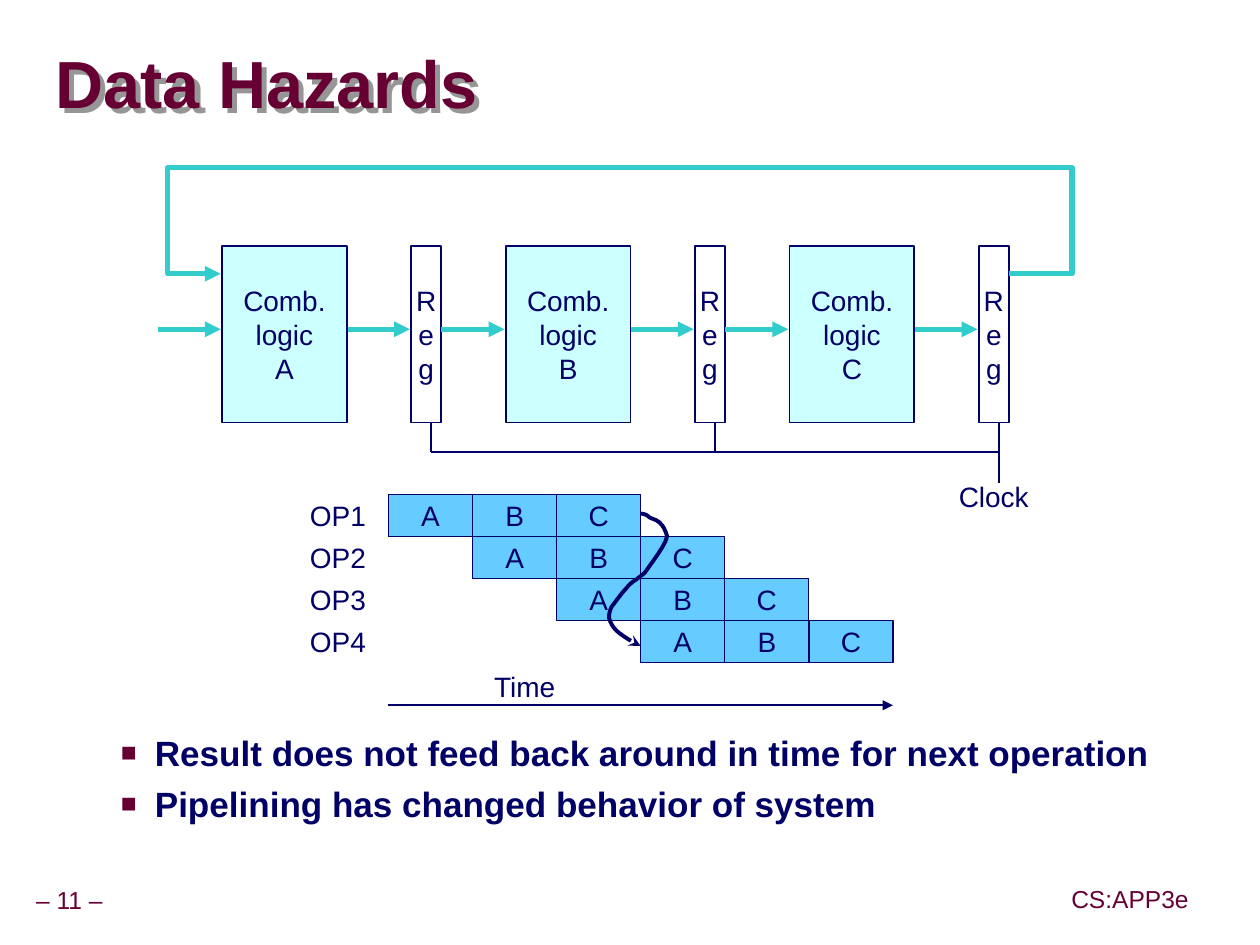
from lxml import etree
from pptx import Presentation
from pptx.dml.color import RGBColor
from pptx.enum.shapes import MSO_CONNECTOR, MSO_SHAPE
from pptx.enum.text import MSO_ANCHOR, PP_ALIGN
from pptx.oxml.ns import qn
from pptx.util import Inches, Pt

RECT = MSO_SHAPE.RECTANGLE
STRAIGHT = MSO_CONNECTOR.STRAIGHT
TOP, MIDDLE = MSO_ANCHOR.TOP, MSO_ANCHOR.MIDDLE
LEFT, CENTER, RIGHT = PP_ALIGN.LEFT, PP_ALIGN.CENTER, PP_ALIGN.RIGHT

FONT = "Arial"
COLORS = {
    "white": "FFFFFF",
    "maroon": "660033",
    "navy": "000066",
    "teal": "33CCCC",
    "logic": "CCFFFF",
    "stage": "66CCFF",
    "shadow": "969696",
}
STAGES = "ABC"
STAGE_W, ROW_H = 2 / 3, 1 / 3
FEEDBACK = [(8, 2.17), (8.5, 2.17), (8.5, 1.33), (1.33, 1.33), (1.33, 2.17), (1.75, 2.17)]
HAZARD_START = (5.08, 4.07)
HAZARD_CURVES = [
    ((5.15, 4.08), (5.12, 4.09), (5.17, 4.11)),
    ((5.24, 4.13), (5.27, 4.18), (5.29, 4.25)),
    ((5.28, 4.32), (5.16, 4.47), (5.12, 4.53)),
    ((5.11, 4.55), (5.07, 4.57), (5.05, 4.59)),
    ((5.02, 4.61), (5, 4.62), (4.96, 4.67)),
    ((4.93, 4.7), (4.88, 4.77), (4.85, 4.81)),
    ((4.83, 4.85), (4.83, 4.87), (4.83, 4.9)),
    ((4.84, 4.93), (4.85, 4.96), (4.89, 5)),
    ((4.92, 5.03), (5.03, 5.1), (5.08, 5.12)),
]


def rgb(name):
    return RGBColor.from_string(COLORS[name])


def add_child(parent, tag, **attrs):
    return etree.SubElement(parent, qn(tag), attrs)


def add_run(p, text, size, color, bold=False):
    r = p.add_run()
    r.text = text
    r.font.name = FONT
    r.font.size = Pt(size)
    r.font.bold = bold
    r.font.color.rgb = rgb(color)


def set_frame(tf, anchor, side=0.1, top=0.05, wrap=False):
    tf.word_wrap = wrap
    tf.vertical_anchor = anchor
    tf.margin_left = tf.margin_right = Inches(side)
    tf.margin_top = tf.margin_bottom = Inches(top)


def add_lines(tf, lines, align, size=16, color="navy", spacing=None):
    for i, line in enumerate(lines):
        p = tf.add_paragraph() if i else tf.paragraphs[0]
        p.alignment = align
        if spacing:
            p.line_spacing = spacing
        add_run(p, line, size, color)


def add_label(s, x, y, w, h, text, align=CENTER, anchor=TOP, side=0.1, **style):
    sp = s.shapes.add_textbox(Inches(x), Inches(y), Inches(w), Inches(h))
    set_frame(sp.text_frame, anchor, side)
    add_lines(sp.text_frame, [text], align, **style)


def add_box(s, x, y, w, h, lines, fill, weight=None, align=CENTER):
    sp = s.shapes.add_shape(RECT, Inches(x), Inches(y), Inches(w), Inches(h))
    sp.shadow.inherit = False
    sp.fill.solid()
    sp.fill.fore_color.rgb = rgb(fill)
    if weight:
        set_line(sp.line, "navy", weight)
    else:
        sp.line.fill.background()
    set_frame(sp.text_frame, MIDDLE)
    add_lines(sp.text_frame, lines, align)


def set_line(line, color, weight, head=None):
    line.color.rgb = rgb(color)
    line.width = Pt(weight)
    if head:
        add_child(line._get_or_add_ln(), "a:tailEnd", type=head)


def add_line(s, x1, y1, x2, y2, color="navy", weight=1, head=None):
    c = s.shapes.add_connector(STRAIGHT, Inches(x1), Inches(y1), Inches(x2), Inches(y2))
    set_line(c.line, color, weight, head)
    add_child(c._element.spPr, "a:effectLst")


def add_path(s, points, color, weight, head):
    start, *rest = [(Inches(x), Inches(y)) for x, y in points]
    builder = s.shapes.build_freeform(*start)
    builder.add_line_segments(rest, close=False)
    sp = builder.convert_to_shape()
    sp.shadow.inherit = False
    sp.fill.background()
    set_line(sp.line, color, weight, head)


def curve_points(start, curves, steps=6):
    points = [start]
    for c1, c2, end in curves:
        p0 = points[-1]
        for i in range(1, steps + 1):
            t = i / steps
            u = 1 - t
            points.append(tuple(
                u**3 * a + 3 * u * u * t * b + 3 * u * t * t * c + t**3 * d
                for a, b, c, d in zip(p0, c1, c2, end)))
    return points


def add_title(s, text):
    sp = s.shapes.title
    sp.left, sp.top, sp.width, sp.height = Inches(0.44), Inches(0.27), Inches(9.52), Inches(0.85)
    sp.fill.background()
    sp.line.fill.background()
    effects = add_child(sp._element.spPr, "a:effectLst")
    shadow = add_child(effects, "a:outerShdw", dist=str(Inches(0.06)), dir="2700000",
                       algn="ctr", rotWithShape="0")
    add_child(shadow, "a:srgbClr", val=COLORS["shadow"])
    set_frame(sp.text_frame, MIDDLE, 0, 0, True)
    p = sp.text_frame.paragraphs[0]
    p.alignment = LEFT
    p.line_spacing = 0.87
    add_run(p, text, 38, "maroon", True)


def add_bullets(s, items):
    sp = s.shapes.add_textbox(Inches(0.32), Inches(5.75), Inches(9.07), Inches(1.28))
    tf = sp.text_frame
    set_frame(tf, TOP, wrap=True)
    for i, item in enumerate(items):
        p = tf.add_paragraph() if i else tf.paragraphs[0]
        p.space_before = Pt(5)
        pPr = p._p.get_or_add_pPr()
        pPr.set("marL", str(Inches(0.81)))
        pPr.set("indent", str(Inches(-0.27)))
        add_child(add_child(pPr, "a:buClr"), "a:srgbClr", val=COLORS["maroon"])
        add_child(pPr, "a:buSzPct", val="75000")
        add_child(pPr, "a:buFont", typeface=FONT)
        add_child(pPr, "a:buChar", char="■")
        add_run(p, item, 20, "navy", True)


def add_pipeline(s):
    for i, stage in enumerate(STAGES):
        x = 1.25 + 2.25 * i
        for start in (x, x + 1.5):
            add_line(s, start, 2.61, start + 0.5, 2.61, "teal", 3, "triangle")
        add_box(s, x + 0.51, 1.95, 0.99, 1.4, ["Comb.", "logic", stage], "logic", 1)
        add_box(s, x + 2.01, 1.95, 0.24, 1.4, "Reg", "white", 1)
        add_line(s, x + 2.17, 3.35, x + 2.17, 3.83 if stage == STAGES[-1] else 3.58)
    add_line(s, 3.42, 3.58, 7.92, 3.58)
    add_label(s, 7.38, 3.75, 1, 0.36, "Clock")
    add_path(s, FEEDBACK, "teal", 3, "triangle")


def add_timing(s):
    for row in range(4):
        y = 3.92 + ROW_H * row
        add_box(s, 2.08, y, 0.92, ROW_H, [f"OP{row + 1}"], "white", align=RIGHT)
        for col, stage in enumerate(STAGES, row):
            add_box(s, 3.08 + STAGE_W * col, y, STAGE_W, ROW_H, [stage], "stage", 0.75)
    add_label(s, 3.82, 5.26, 0.8, 0.36, "Time", LEFT)
    add_line(s, 3.08, 5.59, 7.08, 5.59, head="triangle")
    add_path(s, curve_points(HAZARD_START, HAZARD_CURVES), "navy", 2.25, "stealth")


def main():
    prs = Presentation()
    prs.slide_width, prs.slide_height = Inches(9.99), Inches(7.49)
    s = prs.slides.add_slide(prs.slide_layouts[5])
    add_title(s, "Data Hazards")
    add_bullets(s, ["Result does not feed back around in time for next operation",
                    "Pipelining has changed behavior of system"])
    add_pipeline(s)
    add_timing(s)
    footer = {"anchor": MIDDLE, "side": 0.05, "size": 14, "color": "maroon", "spacing": 0.9}
    add_label(s, 0.22, 6.99, 0.66, 0.31, "– 11 –", **footer)
    add_label(s, 8.44, 6.98, 1.04, 0.32, "CS:APP3e", **footer)
    prs.save("out.pptx")


if __name__ == "__main__":
    main()
